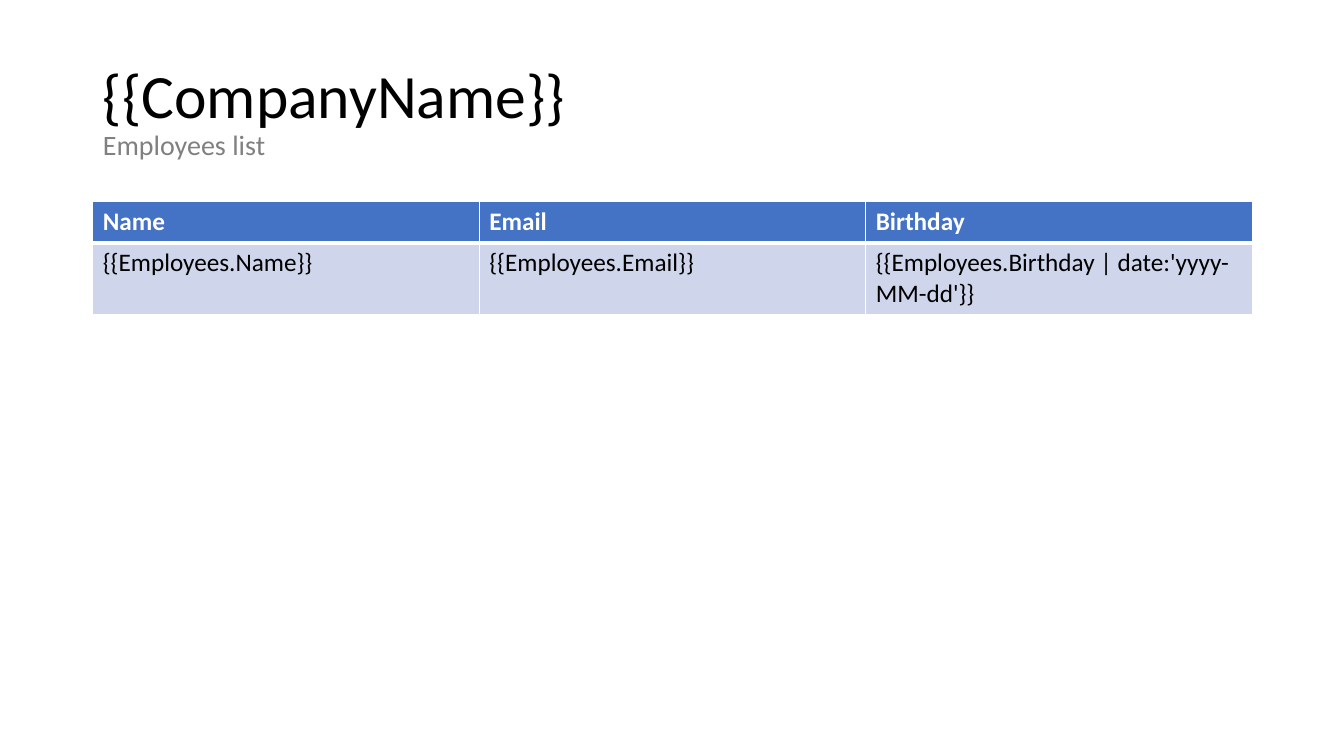
import dataclasses

import pptx
import pptx.dml.color
import pptx.enum.text
import pptx.oxml
import pptx.oxml.ns
import pptx.util

PX = 9144  # EMU in one px, 100 px to the inch


@dataclasses.dataclass(frozen=True)
class Theme:
    font: str = "Calibri"
    ink: str = "000000"
    muted: str = "808080"
    light: str = "FFFFFF"
    head: str = "4472C4"
    band: str = "CFD5EA"
    title: int = 44
    sub: int = 20
    cell: int = 18
    thin: int = 1
    thick: int = 3


THEME = Theme()
HEADS = ["Name", "Email", "Birthday"]
FIELDS = [
    "{{Employees.Name}}",
    "{{Employees.Email}}",
    "{{Employees.Birthday | date:'yyyy-MM-dd'}}",
]


def color(code):
    return pptx.dml.color.RGBColor.from_string(code)


def add_run(para, text, size, code, bold=False):
    run = para.add_run()
    run.text = text
    font = run.font
    font.name = THEME.font
    font.size = pptx.util.Pt(size)
    font.bold = bold
    font.color.rgb = color(code)


def set_title(slide, box, name, sub):
    title = slide.shapes.title
    title.left, title.top, title.width, title.height = [n * PX for n in box]
    frame = title.text_frame
    frame.word_wrap = True
    frame.auto_size = pptx.enum.text.MSO_AUTO_SIZE.NONE
    frame.vertical_anchor = pptx.enum.text.MSO_ANCHOR.MIDDLE
    para = frame.paragraphs[0]
    para.alignment = pptx.enum.text.PP_ALIGN.LEFT
    para.line_spacing = 0.9
    add_run(para, name, THEME.title, THEME.ink)
    para.add_line_break()
    add_run(para, sub, THEME.sub, THEME.muted)


def set_edges(cell, widths):
    """Draw the cell's borders; widths maps a side (L, R, T, B) to points."""
    props = cell._tc.get_or_add_tcPr()
    space = pptx.oxml.ns.nsdecls("a")
    for side, width in widths.items():
        props.append(pptx.oxml.parse_xml(
            f'<a:ln{side} {space} w="{pptx.util.Pt(width)}"><a:solidFill>'
            f'<a:srgbClr val="{THEME.light}"/></a:solidFill></a:ln{side}>'))


def add_grid(slide, box, rows):
    """Add a table whose first row is the header."""
    x, y, width, height = [n * PX for n in box]
    table = slide.shapes.add_table(
        len(rows), len(rows[0]), x, y, width, height).table
    for r, texts in enumerate(rows):
        top = r == 0
        for c, text in enumerate(texts):
            cell = table.cell(r, c)
            set_edges(cell, {
                "L": THEME.thin,
                "R": THEME.thin,
                "T": THEME.thick if r == 1 else THEME.thin,
                "B": THEME.thick if top else THEME.thin,
            })
            cell.fill.solid()
            cell.fill.fore_color.rgb = color(THEME.head if top else THEME.band)
            add_run(cell.text_frame.paragraphs[0], text, THEME.cell,
                    THEME.light if top else THEME.ink, top)


def main():
    deck = pptx.Presentation()
    deck.slide_width, deck.slide_height = 1333 * PX, 750 * PX
    slide = deck.slides.add_slide(deck.slide_layouts.get_by_name("Title Only"))
    left, width = 92, 1150
    set_title(slide, (left, 40, width, 145),
              "{{CompanyName}}", "Employees list")
    add_grid(slide, (left, 200, width, 82), [HEADS, FIELDS])
    deck.save("out.pptx")


if __name__ == "__main__":
    main()
